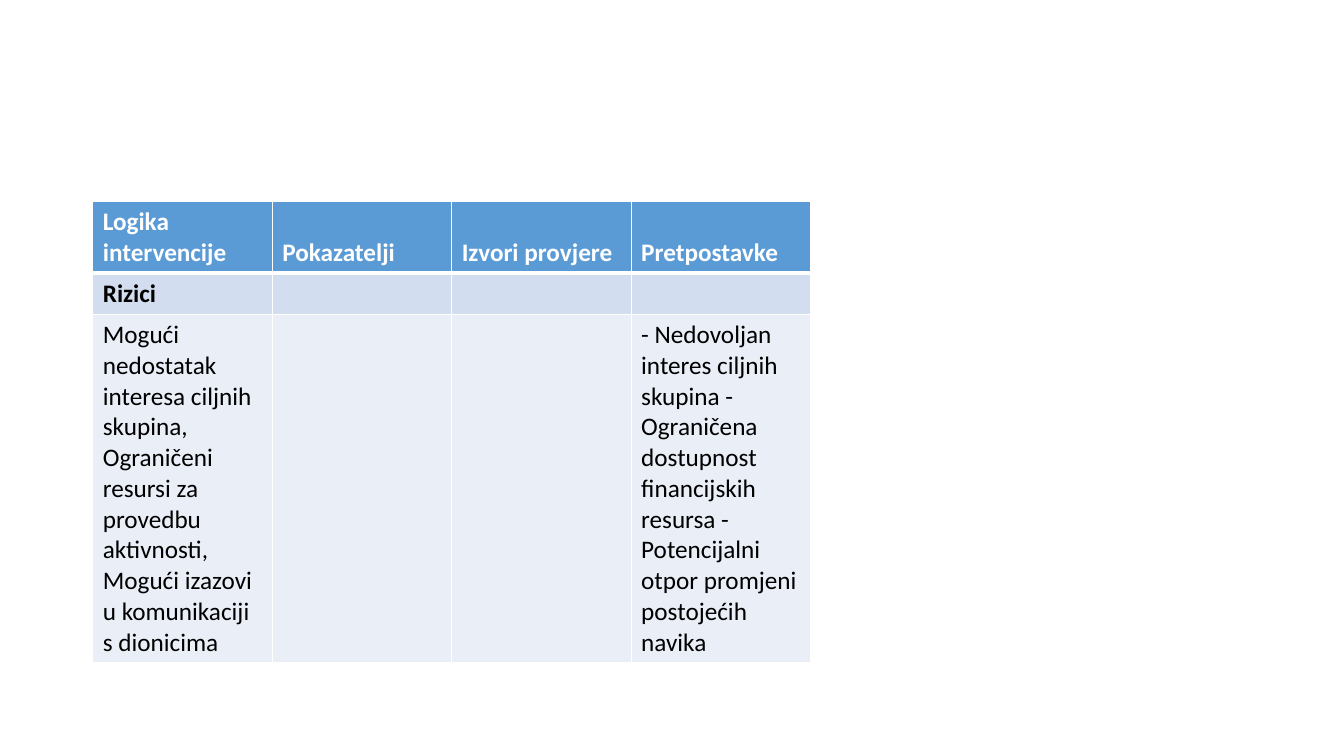
import pptx
import pptx.util
import pptx.dml.color
import pptx.enum.text
import pptx.oxml
import pptx.oxml.ns

Inches = pptx.util.Inches
Pt = pptx.util.Pt
RGBColor = pptx.dml.color.RGBColor
Anchor = pptx.enum.text.MSO_ANCHOR

WHITE = RGBColor(0xFF, 0xFF, 0xFF)
BLACK = RGBColor(0, 0, 0)
BLUE = RGBColor(0x5B, 0x9B, 0xD5)
BAND = RGBColor(0xD2, 0xDE, 0xEF)
PALE = RGBColor(0xEA, 0xEF, 0xF7)

ROWS = [
    ["Logika intervencije", "Pokazatelji", "Izvori provjere", "Pretpostavke"],
    ["Rizici", "", "", ""],
    ["Mogući nedostatak interesa ciljnih skupina, Ograničeni resursi za provedbu "
     "aktivnosti, Mogući izazovi u komunikaciji s dionicima", "", "",
     "- Nedovoljan interes ciljnih skupina - Ograničena dostupnost financijskih "
     "resursa - Potencijalni otpor promjeni postojećih navika"],
]
ROW_STYLES = [
    {"fill": BLUE, "color": WHITE, "bold": True, "anchor": Anchor.BOTTOM, "top": 1, "bottom": 3},
    {"fill": BAND, "color": BLACK, "bold": True, "anchor": Anchor.MIDDLE, "top": 3, "bottom": 1},
    {"fill": PALE, "color": BLACK, "bold": False, "anchor": Anchor.MIDDLE, "top": 1, "bottom": 1},
]


class Deck:
    """Holds the text style and the current slide, and draws its elements."""

    def __init__(self, prs):
        self.font = {"name": "Calibri", "size": Pt(18)}
        self.s = prs.slides.add_slide(prs.slide_layouts[6])

    def border(self, cell, widths):
        tcPr = cell._tc.get_or_add_tcPr()
        for i, (side, width) in enumerate(widths.items()):
            tcPr.insert(i, pptx.oxml.parse_xml(
                f'<a:ln{side} {pptx.oxml.ns.nsdecls("a")} w="{Pt(width)}">'
                f'<a:solidFill><a:srgbClr val="{WHITE}"/></a:solidFill></a:ln{side}>'))

    def cell(self, cell, text, style):
        cell.fill.solid()
        cell.fill.fore_color.rgb = style["fill"]
        cell.vertical_anchor = style["anchor"]
        self.border(cell, {"L": 1, "R": 1, "T": style["top"], "B": style["bottom"]})
        if text:
            r = cell.text_frame.paragraphs[0].add_run()
            r.text = text
            for name, value in {**self.font, "bold": style["bold"]}.items():
                setattr(r.font, name, value)
            r.font.color.rgb = style["color"]

    def table(self, rows, styles, left, top, col_width, row_height):
        cols = len(rows[0])
        table = self.s.shapes.add_table(
            len(rows), cols, Inches(left), Inches(top),
            Inches(col_width * cols), Inches(row_height * len(rows))).table
        for row, texts, style in zip(table.rows, rows, styles):
            for cell, text in zip(row.cells, texts):
                self.cell(cell, text, style)


def main():
    prs = pptx.Presentation()
    prs.slide_width, prs.slide_height = Inches(13.33), Inches(7.5)
    Deck(prs).table(ROWS, ROW_STYLES, left=0.92, top=2, col_width=1.78, row_height=0.41)
    prs.save("out.pptx")


if __name__ == "__main__":
    main()
